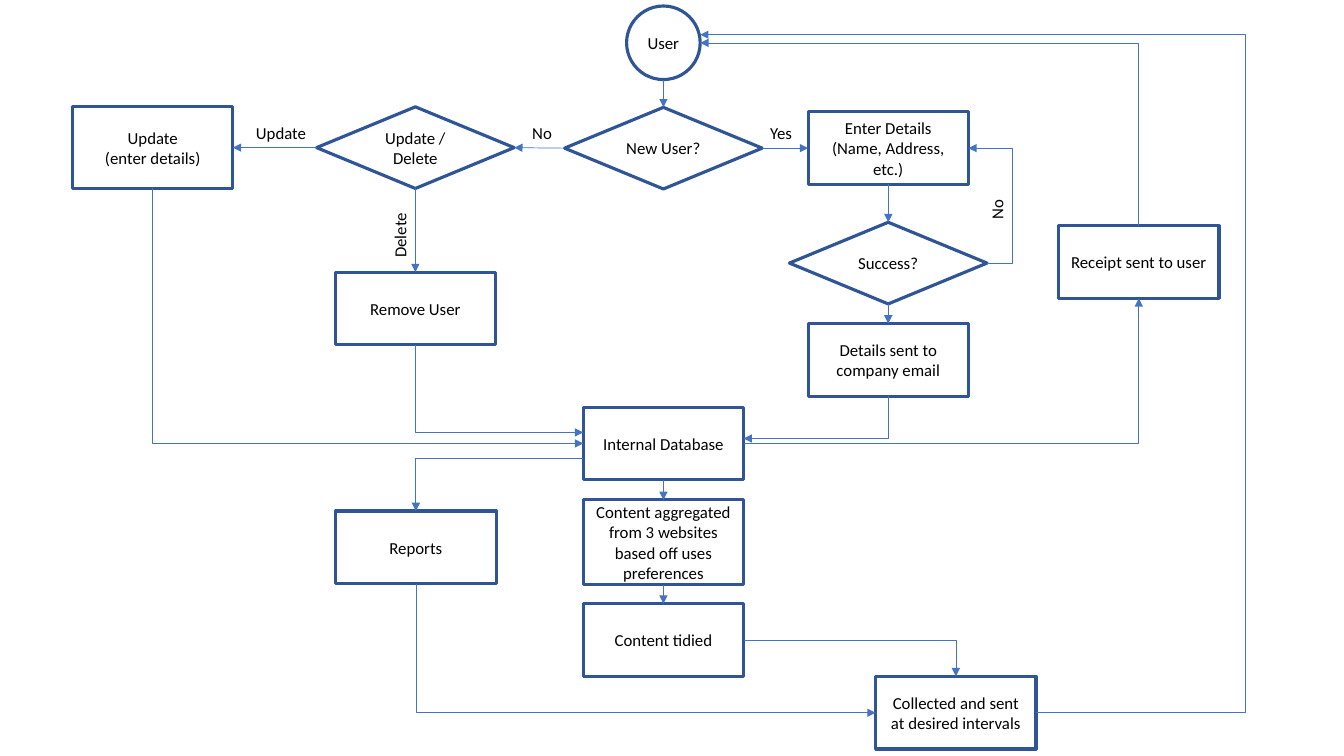
from lxml import etree
from pptx import Presentation
from pptx import util as u
from pptx.dml.color import RGBColor
from pptx.enum import shapes, text
from pptx.oxml.ns import qn

STEP_W, STEP_H = 1.59, 0.72
CHOICE_W, CHOICE_H = 1.96, 0.81
CIRCLE = 0.73
TOP, LEFT, BOTTOM, RIGHT = range(4)
STEP = shapes.MSO_SHAPE.FLOWCHART_PROCESS
CHOICE = shapes.MSO_SHAPE.FLOWCHART_DECISION
START = shapes.MSO_SHAPE.FLOWCHART_CONNECTOR
SIZES = {STEP: (STEP_W, STEP_H), CHOICE: (CHOICE_W, CHOICE_H), START: (CIRCLE, CIRCLE)}


def colour(hex_code):
    return RGBColor.from_string(hex_code)


def write(frame, words, size=12, font="Calibri", ink="000000", align=text.PP_ALIGN.CENTER,
          anchor=text.MSO_ANCHOR.MIDDLE):
    frame.word_wrap = True
    frame.vertical_anchor = anchor
    frame.text = words
    for paragraph in frame.paragraphs:
        paragraph.alignment = align
        paragraph.font.size = u.Pt(size)
        paragraph.font.name = font
        paragraph.font.color.rgb = colour(ink)


def node(slide, kind, x, y, words, height=None):
    w, h = SIZES[kind]
    h = height or h
    box = [u.Inches(v) for v in (x - w / 2, y - h / 2, w, h)]
    shape = slide.shapes.add_shape(kind, *box)
    shape.shadow.inherit = False
    shape.fill.background()
    shape.line.color.rgb = colour("2F5597")
    shape.line.width = u.Pt(2.25)
    write(shape.text_frame, words)
    return shape


def label(slide, left, top, words, rotation=0, align=text.PP_ALIGN.LEFT):
    box = slide.shapes.add_textbox(*[u.Inches(v) for v in (left, top, 0.79, 0.3)])
    box.rotation = rotation
    write(box.text_frame, words, align=align, anchor=text.MSO_ANCHOR.TOP)


def side_point(shape, side, shift):
    x = shape.left + shape.width * {LEFT: 0, RIGHT: 1}.get(side, 0.5)
    y = shape.top + shape.height * {TOP: 0, BOTTOM: 1}.get(side, 0.5)
    return int(x), int(y + u.Inches(shift))


def glue(connector, tag, shape, side):
    holder = next(connector._element.iter(qn("p:cNvCxnSpPr")))
    joint = holder.find(qn(tag))
    if joint is None:
        joint = etree.SubElement(holder, qn(tag))
    joint.set("id", str(shape.shape_id))
    joint.set("idx", str(side * 2 if shape.auto_shape_type == START else side))


def link(slide, source, source_side, target, target_side, route="straight",
         source_shift=0, target_shift=0, lane=0):
    x0, y0 = side_point(source, source_side, source_shift)
    x1, y1 = side_point(target, target_side, target_shift)
    ends = x0, y0, x1, y1
    if route == "upright":
        mid_x, mid_y = (x0 + x1) // 2, (y0 + y1) // 2
        half_w, half_h = (y1 - y0) // 2, (x0 - x1) // 2
        ends = mid_x - half_w, mid_y - half_h, mid_x + half_w, mid_y + half_h
    kind = shapes.MSO_CONNECTOR.STRAIGHT if route == "straight" else shapes.MSO_CONNECTOR.ELBOW
    connector = slide.shapes.add_connector(kind, *ends)
    properties = connector._element.spPr
    if route == "straight":
        connector.begin_connect(source, source_side)
        connector.end_connect(target, target_side)
    geometry = properties.find(qn("a:prstGeom"))
    if route in ("upright", "level"):
        geometry.set("prst", "bentConnector2")
    if route == "upright":
        properties.find(qn("a:xfrm")).set("rot", "5400000")
    if route == "around":
        share = round((u.Inches(lane) - x0) / (x1 - x0) * 100000)
        guides = geometry.find(qn("a:avLst"))
        if guides is None:
            guides = etree.SubElement(geometry, qn("a:avLst"))
        etree.SubElement(guides, qn("a:gd"), name="adj1", fmla=f"val {share}")
    if not source_shift:
        glue(connector, "a:stCxn", source, source_side)
    if not target_shift:
        glue(connector, "a:endCxn", target, target_side)
    connector.line.color.rgb = colour("4472C4")
    connector.line.width = u.Pt(0.5)
    etree.SubElement(connector.line._get_or_add_ln(), qn("a:tailEnd"), type="triangle")
    etree.SubElement(properties, qn("a:effectLst"))


def sign_up(slide, left, top, width, height):
    question_x, details_x = left + CHOICE_W / 2, left + width - CHOICE_W / 2
    question_y = top + 1.41
    user = node(slide, START, question_x, top + CIRCLE / 2, "User")
    new_user = node(slide, CHOICE, question_x, question_y, "New User?")
    enter = node(slide, STEP, details_x, question_y, "Enter Details\n(Name, Address, etc.)")
    success = node(slide, CHOICE, details_x, top + 2.55, "Success?")
    email = node(slide, STEP, details_x, top + height - STEP_H / 2, "Details sent to company email")
    label(slide, left + 1.94, top + 1.11, "Yes")
    label(slide, left + 3.89, top + 1.87, "No", rotation=270, align=text.PP_ALIGN.CENTER)
    link(slide, user, BOTTOM, new_user, TOP)
    link(slide, new_user, RIGHT, enter, LEFT)
    link(slide, enter, BOTTOM, success, TOP)
    link(slide, success, BOTTOM, email, TOP)
    link(slide, success, RIGHT, enter, RIGHT, "around", lane=left + width + 0.25)
    return user, new_user, email


def account_change(slide, left, top, width, height):
    choice_x, choice_y = left + width - CHOICE_W / 2, top + CHOICE_H / 2
    choice = node(slide, CHOICE, choice_x, choice_y, "Update / Delete")
    update = node(slide, STEP, left + STEP_W / 2, choice_y, "Update\n(enter details)", CHOICE_H)
    remove = node(slide, STEP, choice_x, top + height - STEP_H / 2, "Remove User")
    label(slide, left + 1.72, top + 0.11, "Update")
    label(slide, left + 2.85, top + 1.05, "Delete", rotation=270)
    label(slide, left + width + 0.08, top + 0.11, "No")
    link(slide, choice, LEFT, update, RIGHT)
    link(slide, choice, BOTTOM, remove, TOP)
    return choice, update, remove


def delivery(slide, left, top, width, height):
    store_x = left + 3.25
    database = node(slide, STEP, store_x, top + 2.16, "Internal Database")
    receipt = node(slide, STEP, left + width - STEP_W / 2, top + STEP_H / 2, "Receipt sent to user")
    content = node(slide, STEP, store_x, top + 3.14,
                   "Content aggregated from 3 websites based off uses preferences", 0.84)
    tidied = node(slide, STEP, store_x, top + 4.11, "Content tidied")
    reports = node(slide, STEP, left + STEP_W / 2, top + 3.19, "Reports")
    collected = node(slide, STEP, left + 6.15, top + height - STEP_H / 2,
                     "Collected and sent at desired intervals")
    link(slide, database, BOTTOM, content, TOP)
    link(slide, content, BOTTOM, tidied, TOP)
    link(slide, database, RIGHT, receipt, BOTTOM, "level")
    link(slide, database, LEFT, reports, TOP, "level", source_shift=0.15)
    link(slide, tidied, RIGHT, collected, TOP, "level")
    link(slide, reports, BOTTOM, collected, LEFT, "upright")
    return database, receipt, collected


def main():
    deck = Presentation()
    deck.slide_width, deck.slide_height = u.Inches(13.33), u.Inches(7.5)
    slide = deck.slides.add_slide(deck.slide_layouts[6])
    user, new_user, email = sign_up(slide, 5.6, 0.06, 4.19, 3.87)
    choice, update, remove = account_change(slide, 0.72, 1.06, 4.38, 2.36)
    database, receipt, collected = delivery(slide, 3.33, 2.24, 8.76, 5.19)
    link(slide, new_user, LEFT, choice, RIGHT)
    link(slide, email, BOTTOM, database, RIGHT, "upright", target_shift=-0.05)
    link(slide, remove, BOTTOM, database, LEFT, "upright", target_shift=-0.11)
    link(slide, update, BOTTOM, database, LEFT, "upright")
    link(slide, receipt, TOP, user, RIGHT, "upright")
    link(slide, collected, RIGHT, user, RIGHT, "around", target_shift=-0.08, lane=12.35)
    deck.save("out.pptx")


if __name__ == "__main__":
    main()
